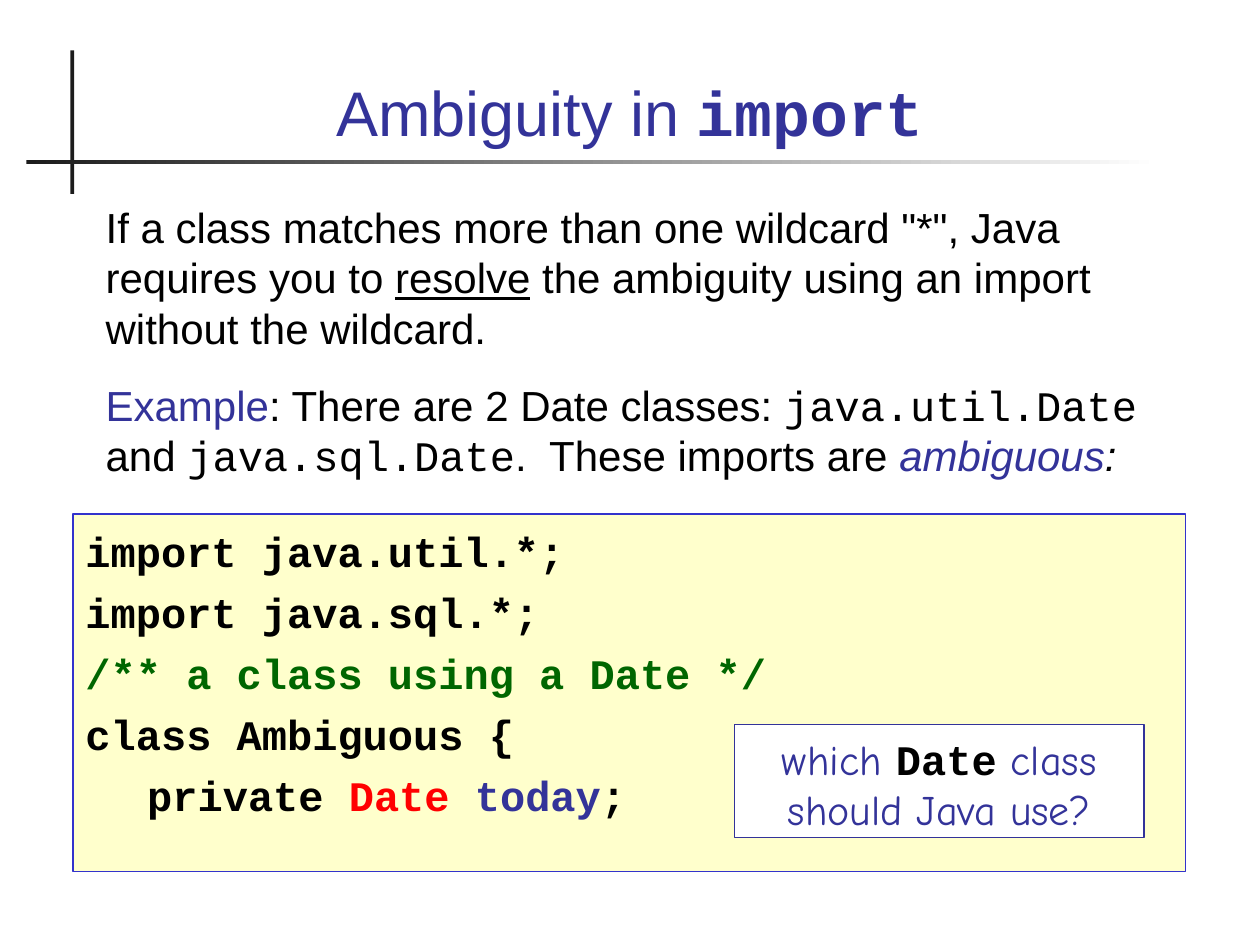
from pptx import Presentation
from pptx.dml.color import RGBColor
from pptx.enum.shapes import MSO_SHAPE
from pptx.enum.text import MSO_ANCHOR, PP_ALIGN
from pptx.util import Inches, Pt

SANS, CODE, HAND = "Arial", "Courier New", "Comic Neue"
NAVY, BLACK, DARK, WHITE = "333399", "000000", "1C1C1C", "FFFFFF"


def color(value):
    """Turn a hex string into a colour."""
    return RGBColor.from_string(value)


def add_rectangle(slide, box, fill, line=None):
    """Add a flat rectangle with an optional thin outline."""
    shape = slide.shapes.add_shape(MSO_SHAPE.RECTANGLE, *map(Inches, box))
    shape.shadow.inherit = False
    shape.fill.solid()
    shape.fill.fore_color.rgb = color(fill)
    if line:
        shape.line.color.rgb = color(line)
        shape.line.width = Pt(0.75)
    else:
        shape.line.fill.background()
    return shape


def add_text_box(slide, box):
    """Add an empty text box."""
    return slide.shapes.add_textbox(*map(Inches, box))


def write_text(shape, paragraphs, size, font, tint, bold=False, gap=0,
               align=PP_ALIGN.LEFT, anchor=MSO_ANCHOR.TOP, spacing=None, top=0.05):
    """Fill a shape with paragraphs of (text, font overrides) runs."""
    frame = shape.text_frame
    frame.word_wrap = True
    frame.vertical_anchor = anchor
    frame.margin_top = Inches(top)
    for index, runs in enumerate(paragraphs):
        paragraph = frame.add_paragraph() if index else frame.paragraphs[0]
        paragraph.alignment = align
        paragraph.line_spacing = spacing
        if index:
            paragraph.space_before = Pt(gap)
        paragraph.font.size = Pt(size)
        paragraph.font.name = font
        paragraph.font.bold = bold
        paragraph.font.color.rgb = color(tint)
        for text, overrides in runs:
            run = paragraph.add_run()
            run.text = text
            for name, value in overrides.items():
                if name == "color":
                    run.font.color.rgb = color(value)
                else:
                    setattr(run.font, name, value)
    return frame


def add_cross_rules(slide, left, top, width, height):
    """Draw the vertical rule and the fading horizontal rule."""
    add_rectangle(slide, (left + 0.35, top, 0.03, height), DARK)
    rule = add_rectangle(slide, (left, top + 0.87, width, 0.03), DARK)
    rule.fill.gradient()
    rule.fill.gradient_angle = 0
    for stop, tint in zip(rule.fill.gradient_stops, (DARK, WHITE)):
        stop.color.rgb = color(tint)


def add_title(slide, box):
    """Write the centred title above the rule."""
    runs = [("Ambiguity in ", {}), ("import", {"name": CODE, "bold": True})]
    write_text(add_text_box(slide, box), [runs], 36, SANS, NAVY,
               align=PP_ALIGN.CENTER, anchor=MSO_ANCHOR.BOTTOM)


def add_explanation(slide, box):
    """Write the rule and its example."""
    code = {"name": CODE}
    paragraphs = [
        [('If a class matches more than one wildcard "*", Java requires you to ', {}),
         ("resolve", {"underline": True}),
         (" the ambiguity using an import without the wildcard.", {})],
        [("Example", {"color": NAVY}), (": There are 2 Date classes: ", {}),
         ("java.util.Date", code), (" and ", {}), ("java.sql.Date", code),
         (".  These imports are ", {}),
         ("ambiguous", {"color": NAVY, "italic": True}), (":", {"italic": True})],
    ]
    write_text(add_text_box(slide, box), paragraphs, 24, SANS, BLACK, gap=15,
               spacing=Pt(28.8), top=0.07)


def add_code_panel(slide, box):
    """Show the ambiguous code on a yellow panel."""
    paragraphs = [
        [("import java.util.*;", {})],
        [("import java.sql.*;", {})],
        [("/** a class using a Date */", {"color": "006600"})],
        [("class Ambiguous {", {})],
        [("private ", {}), ("Date", {"color": "FF0000"}),
         (" today", {"color": NAVY}), (";", {})],
    ]
    panel = add_rectangle(slide, box, "FFFFCC", "3333CC")
    frame = write_text(panel, paragraphs, 24, CODE, BLACK, bold=True, gap=6,
                       spacing=Pt(28.8), top=0.09)
    member = frame.paragraphs[-1]
    member._p.get_or_add_pPr().set("marL", str(Inches(0.49)))


def add_question(slide, box):
    """Ask the question in a white callout."""
    runs = [("which ", {}), ("Date", {"name": CODE, "bold": True, "color": BLACK}),
            (" class should Java use?", {})]
    write_text(add_rectangle(slide, box, WHITE, NAVY), [runs], 24, HAND, NAVY,
               align=PP_ALIGN.CENTER, spacing=Pt(28.8), top=0.07)


def main():
    """Build and save the slide."""
    presentation = Presentation()
    presentation.slide_width, presentation.slide_height = Inches(10), Inches(7.5)
    slide = presentation.slides.add_slide(presentation.slide_layouts[6])
    add_cross_rules(slide, 0.21, 0.4, 8.99, 1.14)
    add_title(slide, (0.67, 0.28, 8.66, 0.95))
    add_explanation(slide, (0.74, 1.53, 8.6, 2.64))
    add_code_panel(slide, (0.58, 4.08, 8.83, 2.84))
    add_question(slide, (5.83, 5.75, 3.25, 0.9))
    presentation.save("out.pptx")


if __name__ == "__main__":
    main()
